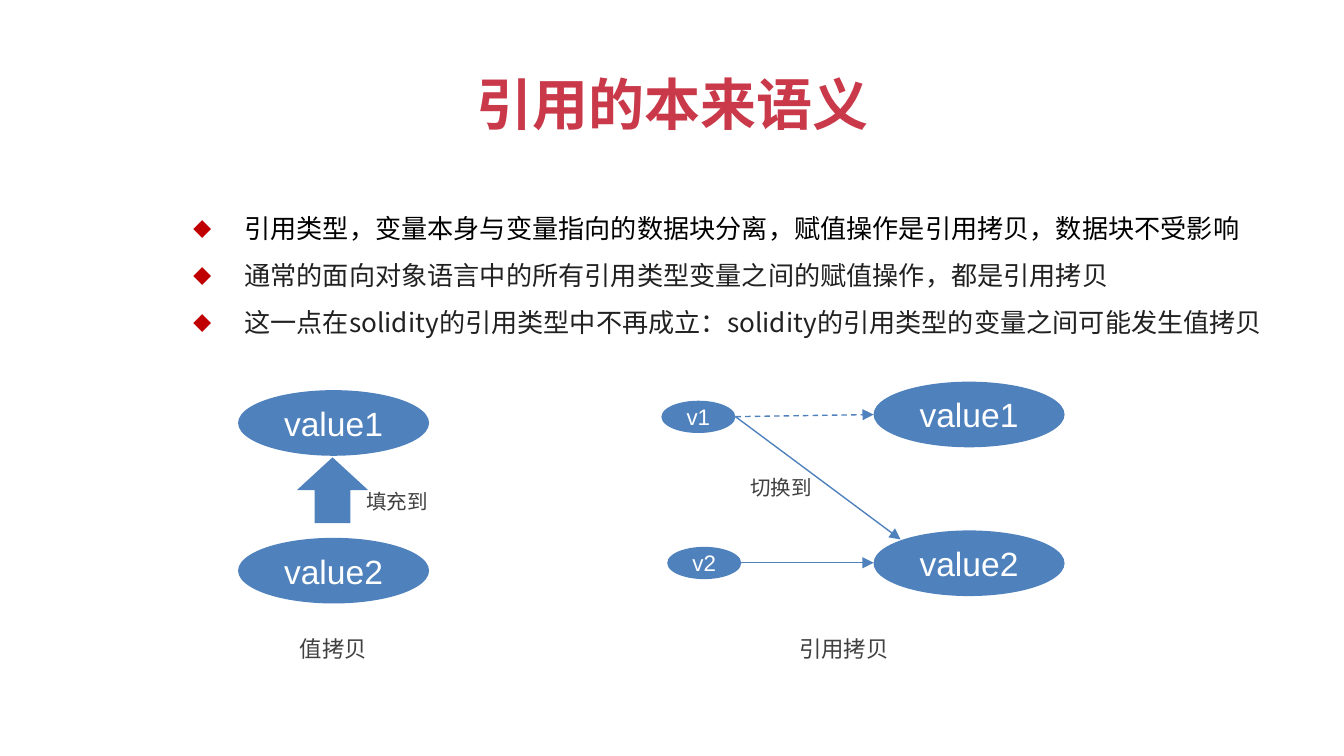
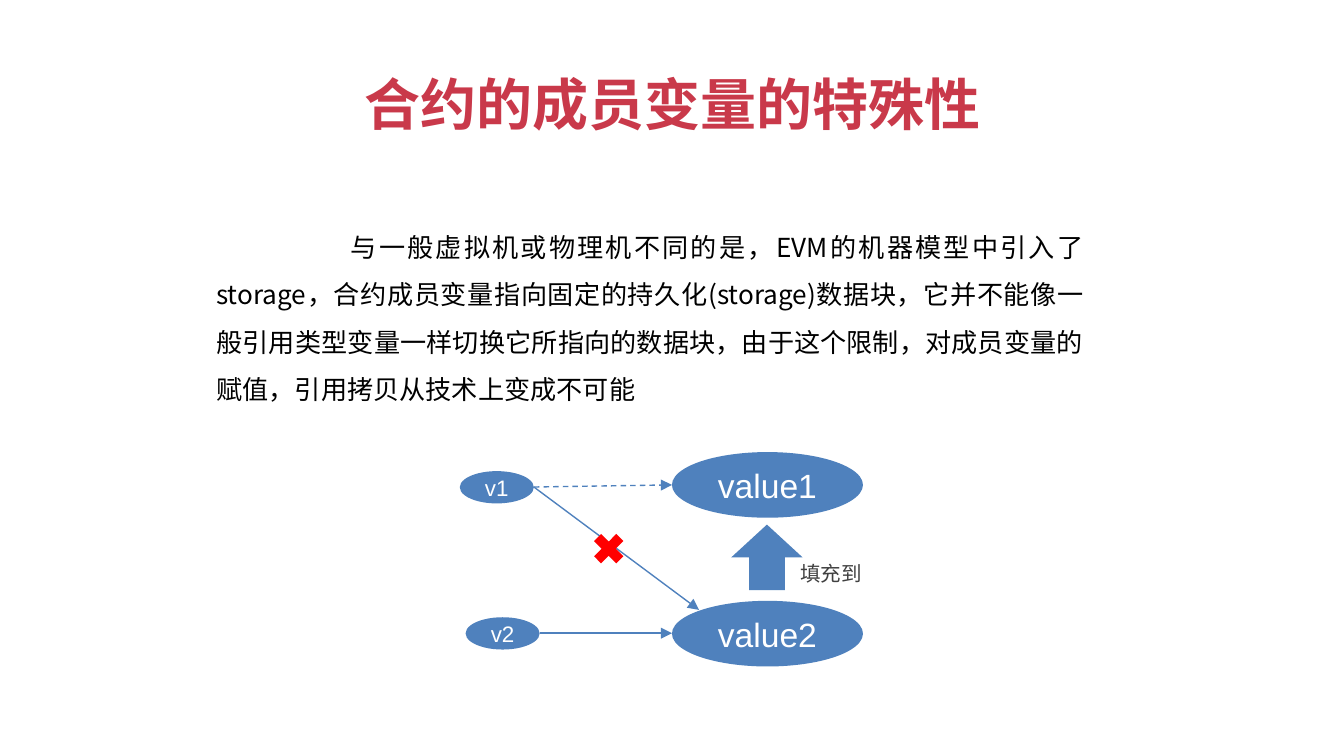
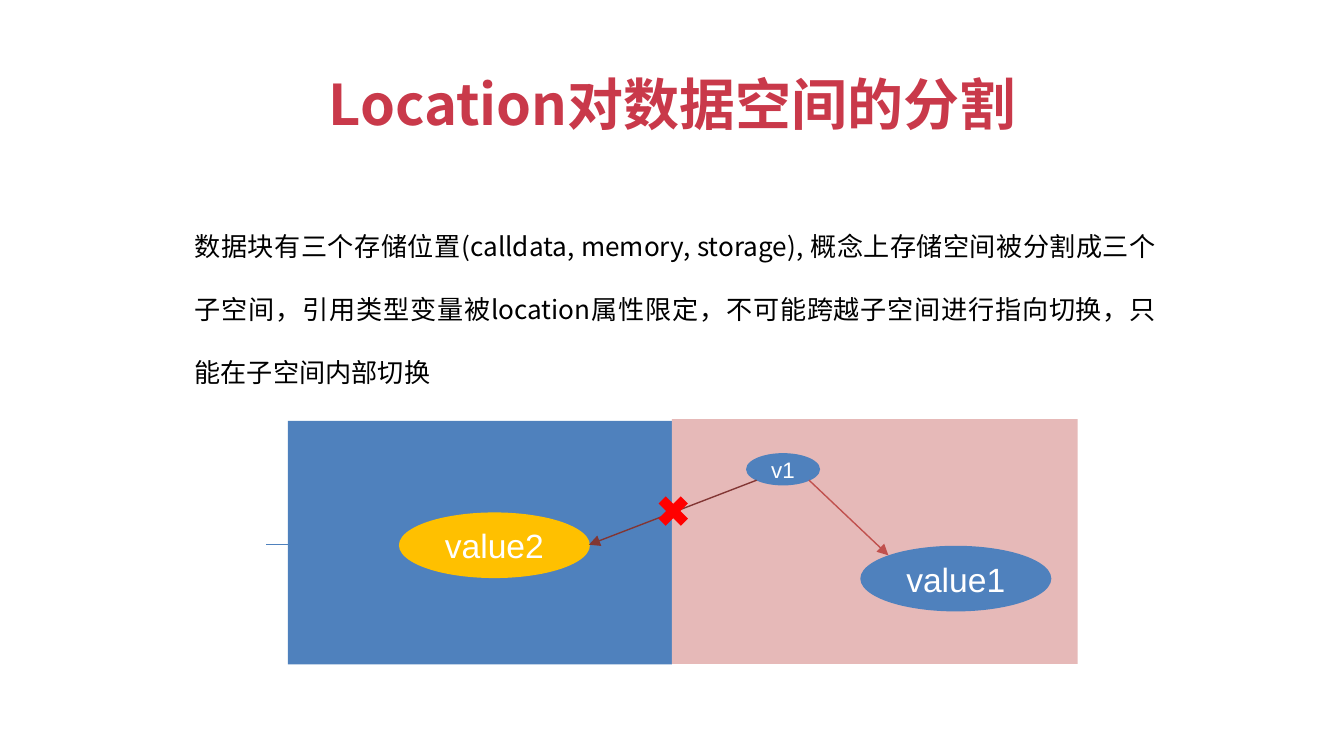
"""Builds three slides on reference and value copies in Solidity."""
from lxml import etree
from pptx import Presentation
from pptx import util as u
from pptx.dml import color
from pptx.enum import dml, shapes, text
from pptx.oxml import ns

Cm, Pt = u.Cm, u.Pt
CJK = "Noto Sans CJK SC"
THEME = {
    "blue": "4F81BD", "pink": "E6B9B8", "amber": "FFC000", "red": "FF0000",
    "maroon": "823634", "brick": "C0504D", "diamond": "C00000",
    "title": {"size": Pt(30), "bold": True, "name": CJK, "color": "C9394A"},
    "body": {"size": Pt(14), "name": CJK, "color": "000000"},
    "soft": {"size": Pt(14), "name": CJK, "color": "212121"},
    "value": {"size": Pt(18), "name": "Arial", "color": "FFFFFF"},
    "variable": {"size": Pt(12), "name": "Arial", "color": "FFFFFF"},
    "caption": {"size": Pt(12), "name": "Arial", "color": "404040"},
    "label": {"size": Pt(11), "name": "Arial", "color": "404040"},
}
KIND = shapes.MSO_SHAPE
ALIGN = text.PP_ALIGN
MIDDLE = text.MSO_ANCHOR.MIDDLE

VALUE, VARIABLE = (3.61, 1.24), (1.4, 0.61)
ARROW, CROSS = (1.35, 1.24), (0.81, 0.81)
CAPTION, LABEL = (3.2, 0.99), (2.41, 0.79)

REFERENCE_NODES = [
    ("value1", 0, 0, VALUE, "value"),
    ("value2", 0, 2.81, VALUE, "value"),
    ("v1", -4.01, 0.36, VARIABLE, "variable"),
    ("v2", -3.9, 3.12, VARIABLE, "variable"),
]
REFERENCE_LINKS = [
    (-2.61, 0.66, 0.51, 2.98, False),
    (-2.5, 3.42, 0, 3.42, False),
    (-2.61, 0.66, 0, 0.62, True),
]

SLIDES = [
    {
        "title": ("引用的本来语义", 8),
        "body": (2.67, 4.34, 22.86), "spacing": 1.5, "bullet": True,
        "margin": 1.7, "indent": -0.97,
        "paragraphs": [
            ("引用类型，变量本身与变量指向的数据块分离，赋值操作是引用拷贝，数据块不受影响", "body"),
            ("通常的面向对象语言中的所有引用类型变量之间的赋值操作，都是引用拷贝", "soft"),
            ("这一点在solidity的引用类型中不再成立：solidity的引用类型的变量之间可能发生值拷贝", "soft"),
        ],
        "reference": (16.51, 7.21),
        "nodes": [
            ("value1", 4.5, 7.37, VALUE, "value", "blue"),
            ("value2", 4.5, 10.16, VALUE, "value", "blue"),
        ],
        "marks": [(KIND.UP_ARROW, 5.61, 8.64, ARROW, "blue")],
        "captions": [
            ("值拷贝", 4.7, 11.76, CAPTION, "caption"),
            ("引用拷贝", 14.35, 11.76, CAPTION, "caption"),
            ("填充到", 6.3, 9.07, LABEL, "label"),
            ("切换到", 13.56, 8.81, LABEL, "label"),
        ],
    },
    {
        "title": ("合约的成员变量的特殊性", 12.27),
        "body": (3.1, 5.15, 17.63), "spacing": 1.5,
        "margin": 0.74, "indent": 2.54,
        "paragraphs": [
            ("与一般虚拟机或物理机不同的是，EVM的机器模型中引入了storage，"
             "合约成员变量指向固定的持久化(storage)数据块，它并不能像一般引用类型变量一样"
             "切换它所指向的数据块，由于这个限制，对成员变量的赋值，引用拷贝从技术上变成不可能", "body"),
        ],
        "reference": (12.7, 8.54),
        "marks": [
            (KIND.MATH_MULTIPLY, 11.1, 9.96, CROSS, "red"),
            (KIND.UP_ARROW, 13.82, 9.91, ARROW, "blue"),
        ],
        "captions": [("填充到", 14.5, 10.44, LABEL, "label")],
    },
    {
        "title": ("Location对数据空间的分割", 13.67),
        "body": (2.69, 4.83, 19.41), "spacing": 2.0,
        "margin": 0.74, "indent": 0,
        "paragraphs": [
            ("数据块有三个存储位置(calldata, memory, storage), 概念上存储空间被分割成三个子空间，"
             "引用类型变量被location属性限定，不可能跨越子空间进行指向切换，只能在子空间内部切换", "body"),
        ],
        "spaces": [
            (KIND.RECTANGLE, 5.44, 7.95, (7.26, 4.6), "blue"),
            (KIND.RECTANGLE, 12.7, 7.92, (7.67, 4.62), "pink"),
        ],
        "nodes": [
            ("value1", 16.26, 10.31, VALUE, "value", "blue"),
            ("value2", 7.54, 9.68, VALUE, "value", "amber"),
            ("v1", 14.1, 8.56, VARIABLE, "variable", "blue"),
        ],
        "links": [
            (14.3, 9.07, 11.13, 10.29, "maroon", False),
            (5.03, 10.29, 7.54, 10.29, "blue", False),
            (15.29, 9.07, 16.79, 10.49, "brick", False),
        ],
        "marks": [(KIND.MATH_MULTIPLY, 12.32, 9.25, CROSS, "red")],
    },
]


def write(paragraph, words, style, alignment=ALIGN.CENTER):
    """Adds one formatted run to a paragraph."""
    paragraph.alignment = alignment
    run = paragraph.add_run()
    run.text = words
    for name, value in THEME[style].items():
        if name == "color":
            run.font.color.rgb = color.RGBColor.from_string(value)
        else:
            setattr(run.font, name, value)
    etree.SubElement(run.font._element, ns.qn("a:ea"), typeface=CJK)


def draw(slide, kind, left, top, size, fill):
    """Adds a plain filled shape, or a text box when kind is None."""
    box = [Cm(length) for length in (left, top, *size)]
    if kind is None:
        shape = slide.shapes.add_textbox(*box)
    else:
        shape = slide.shapes.add_shape(kind, *box)
        shape.shadow.inherit = False
        shape.fill.solid()
        shape.fill.fore_color.rgb = color.RGBColor.from_string(THEME[fill])
        shape.line.fill.background()
    shape.text_frame.word_wrap = True
    shape.text_frame.vertical_anchor = MIDDLE
    return shape


presentation = Presentation()
presentation.slide_width, presentation.slide_height = Cm(25.4), Cm(14.28)

for content in SLIDES:
    slide = presentation.slides.add_slide(presentation.slide_layouts[6])

    words, width = content["title"]
    title = draw(slide, None, 12.71 - width / 2, 1.19, (width, 1.55), None)
    title.text_frame.vertical_anchor = text.MSO_ANCHOR.TOP
    title.text_frame.auto_size = text.MSO_AUTO_SIZE.SHAPE_TO_FIT_TEXT
    write(title.text_frame.paragraphs[0], words, "title")

    left, top, width = content["body"]
    frame = draw(slide, None, left, top, (width, 1.42), None).text_frame
    for index, (words, style) in enumerate(content["paragraphs"]):
        paragraph = frame.add_paragraph() if index else frame.paragraphs[0]
        paragraph.line_spacing = content["spacing"]
        properties = paragraph._p.get_or_add_pPr()
        properties.set("marL", str(Cm(content["margin"])))
        properties.set("indent", str(Cm(content["indent"])))
        if content.get("bullet"):
            tint = etree.SubElement(properties, ns.qn("a:buClr"))
            etree.SubElement(tint, ns.qn("a:srgbClr"), val=THEME["diamond"])
            etree.SubElement(properties, ns.qn("a:buSzPct"), val="70000")
            etree.SubElement(properties, ns.qn("a:buFont"), typeface=CJK)
            etree.SubElement(properties, ns.qn("a:buChar"), char="◆")
        write(paragraph, words, style, ALIGN.JUSTIFY)

    nodes, links = list(content.get("nodes", [])), list(content.get("links", []))
    if "reference" in content:
        x, y = content["reference"]
        nodes += [(words, x + dx, y + dy, size, style, "blue")
                  for words, dx, dy, size, style in REFERENCE_NODES]
        links += [(x + x1, y + y1, x + x2, y + y2, "blue", dashed)
                  for x1, y1, x2, y2, dashed in REFERENCE_LINKS]

    for space in content.get("spaces", []):
        draw(slide, *space)

    for words, left, top, size, style, fill in nodes:
        node = draw(slide, KIND.OVAL, left, top, size, fill)
        if style == "variable":
            node.text_frame.word_wrap = False
        write(node.text_frame.paragraphs[0], words, style)

    for *ends, tint, dashed in links:
        link = slide.shapes.add_connector(
            shapes.MSO_CONNECTOR.STRAIGHT, *[Cm(end) for end in ends])
        link.line.color.rgb = color.RGBColor.from_string(THEME[tint])
        link.line.width = Pt(0.75)
        if dashed:
            link.line.dash_style = dml.MSO_LINE.DASH
        etree.SubElement(link.line._get_or_add_ln(), ns.qn("a:tailEnd"), type="triangle")
        etree.SubElement(link._element.spPr, ns.qn("a:effectLst"))

    for mark in content.get("marks", []):
        draw(slide, *mark)

    for words, left, top, size, style in content.get("captions", []):
        caption = draw(slide, None, left, top, size, None)
        write(caption.text_frame.paragraphs[0], words, style)

presentation.save("out.pptx")
